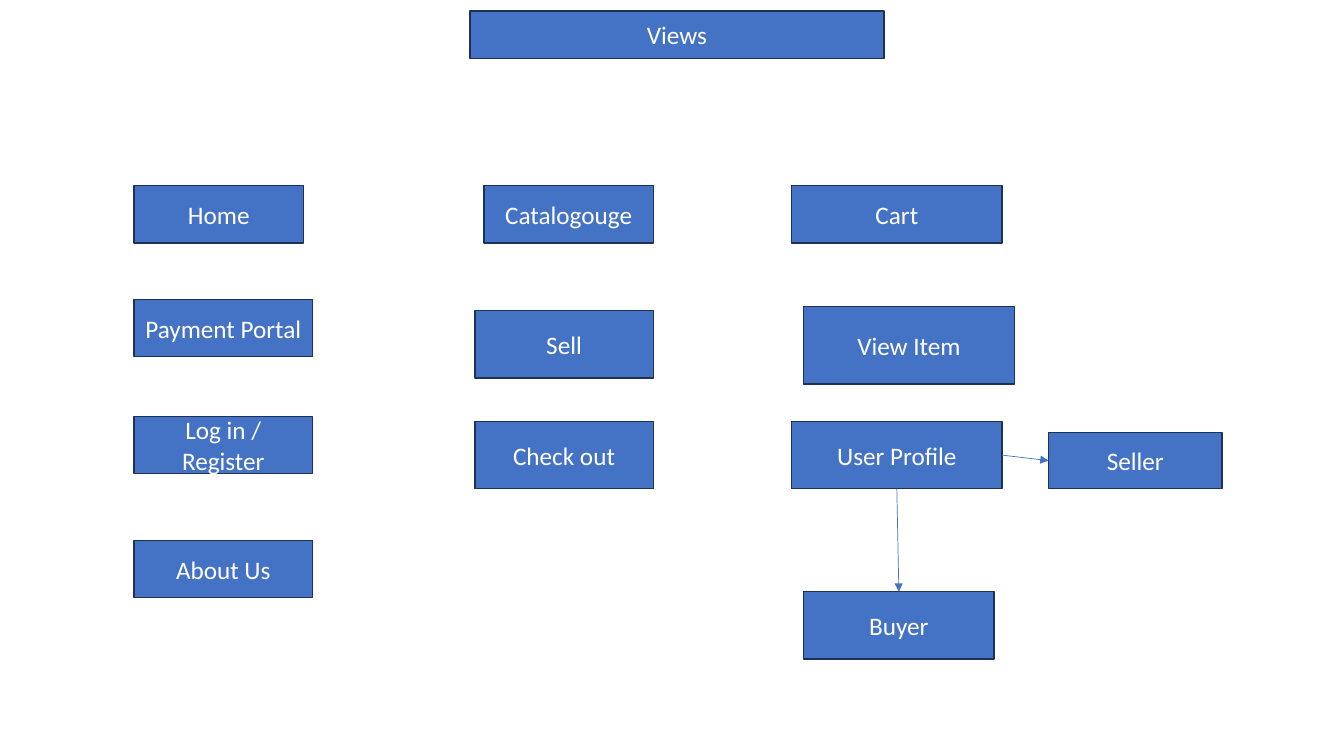
import dataclasses

import pptx
import pptx.dml.color
import pptx.enum.shapes
import pptx.enum.text
import pptx.oxml
import pptx.oxml.ns
import pptx.util
from pptx.util import Inches

BLUE = pptx.dml.color.RGBColor(0x44, 0x72, 0xC4)
NAVY = pptx.dml.color.RGBColor(0x1E, 0x32, 0x56)
WHITE = pptx.dml.color.RGBColor(0xFF, 0xFF, 0xFF)
FONT = "Calibri"

# Connection sites of a rectangle
TOP, LEFT, BOTTOM, RIGHT = range(4)


@dataclasses.dataclass(frozen=True)
class Box:
    text: str
    left: float
    top: float
    width: float
    height: float


@dataclasses.dataclass(frozen=True)
class Arrow:
    start: str
    start_site: int
    end: str
    end_site: int


TITLE = Box("Views", 4.66, 0.11, 4.11, 0.47)

VIEWS = [
    # Left column
    Box("Home", 1.33, 1.84, 1.68, 0.57),
    Box("Payment Portal", 1.33, 2.97, 1.77, 0.57),
    Box("Log in / Register", 1.33, 4.13, 1.77, 0.57),
    Box("About Us", 1.33, 5.36, 1.77, 0.57),
    # Middle column
    Box("Catalogouge", 4.8, 1.84, 1.68, 0.57),
    Box("Sell", 4.71, 3.08, 1.77, 0.67),
    Box("Check out", 4.71, 4.18, 1.77, 0.67),
    # Right column and the two kinds of user
    Box("Cart", 7.85, 1.84, 2.09, 0.57),
    Box("View Item", 7.97, 3.04, 2.09, 0.77),
    Box("User Profile", 7.85, 4.18, 2.09, 0.67),
    Box("Buyer", 7.97, 5.87, 1.89, 0.67),
    Box("Seller", 10.4, 4.29, 1.72, 0.56),
]

ARROWS = [
    Arrow("User Profile", BOTTOM, "Buyer", TOP),
    Arrow("User Profile", RIGHT, "Seller", LEFT),
]


def format_box(shape, box: Box) -> None:
    """Place a shape and give it the common box style."""
    shape.left, shape.top = Inches(box.left), Inches(box.top)
    shape.width, shape.height = Inches(box.width), Inches(box.height)
    shape.fill.solid()
    shape.fill.fore_color.rgb = BLUE
    shape.line.color.rgb = NAVY
    shape.line.width = pptx.util.Pt(1)

    text_frame = shape.text_frame
    text_frame.text = box.text
    text_frame.word_wrap = True
    text_frame.auto_size = pptx.enum.text.MSO_AUTO_SIZE.NONE
    text_frame.vertical_anchor = pptx.enum.text.MSO_ANCHOR.MIDDLE
    paragraph = text_frame.paragraphs[0]
    paragraph.alignment = pptx.enum.text.PP_ALIGN.CENTER
    font = paragraph.runs[0].font
    font.name = FONT
    font.size = pptx.util.Pt(18)
    font.color.rgb = WHITE


def add_box(slide, box: Box):
    """Add one view as a rectangle."""
    shape = slide.shapes.add_shape(
        pptx.enum.shapes.MSO_SHAPE.RECTANGLE, 0, 0, Inches(1), Inches(1)
    )
    shape.shadow.inherit = False
    format_box(shape, box)
    return shape


def add_arrow(slide, arrow: Arrow, shapes: dict) -> None:
    """Join two boxes with a thin arrow."""
    connector = slide.shapes.add_connector(
        pptx.enum.shapes.MSO_CONNECTOR.STRAIGHT, 0, 0, 0, 0
    )
    connector.begin_connect(shapes[arrow.start], arrow.start_site)
    connector.end_connect(shapes[arrow.end], arrow.end_site)
    connector.line.color.rgb = BLUE
    connector.line.width = pptx.util.Pt(0.5)
    line = connector.line._get_or_add_ln()
    line.append(pptx.oxml.parse_xml(
        f'<a:tailEnd {pptx.oxml.ns.nsdecls("a")} type="triangle"/>'
    ))
    connector._element.spPr.append(pptx.oxml.parse_xml(
        f'<a:effectLst {pptx.oxml.ns.nsdecls("a")}/>'
    ))


# Slide with its title
presentation = pptx.Presentation()
presentation.slide_width = Inches(13.33)
presentation.slide_height = Inches(7.5)
slide = presentation.slides.add_slide(presentation.slide_layouts.get_by_name("Title Only"))
format_box(slide.shapes.title, TITLE)

# Views and the links between them
view_shapes = {box.text: add_box(slide, box) for box in VIEWS}
for arrow in ARROWS:
    add_arrow(slide, arrow, view_shapes)

presentation.save("out.pptx")
